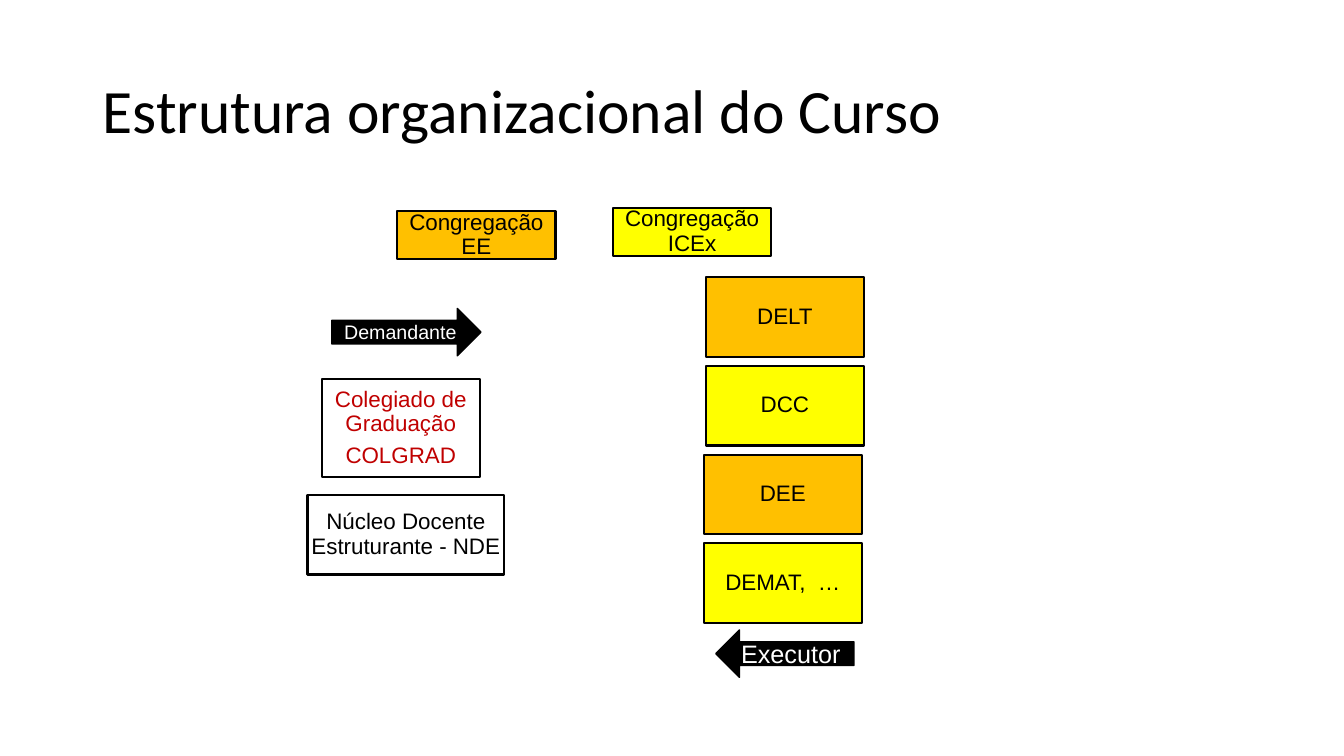
from dataclasses import dataclass

from pptx import Presentation
from pptx.dml.color import RGBColor
from pptx.enum.shapes import MSO_SHAPE
from pptx.enum.text import MSO_ANCHOR, PP_ALIGN
from pptx.util import Inches, Pt

RECT = MSO_SHAPE.RECTANGLE
RIGHT, LEFT = MSO_SHAPE.RIGHT_ARROW, MSO_SHAPE.LEFT_ARROW
MIDDLE = MSO_ANCHOR.MIDDLE
CENTER, START = PP_ALIGN.CENTER, PP_ALIGN.LEFT


@dataclass(frozen=True)
class Theme:
    black: str = "000000"
    white: str = "FFFFFF"
    red: str = "C00000"
    orange: str = "FFC000"
    yellow: str = "FFFF00"
    head: str = "Calibri"
    body: str = "Arial"
    title: int = 44
    label: int = 16
    edge: float = 1.5
    thin: float = 1
    inset: float = 0.01
    tight: float = 0.9
    after: float = 5.6


THEME = Theme()
TITLE = "Estrutura organizacional do Curso"
WIDE, SHORT, TALL = 1.57, 0.48, 0.79

# text, place (left, top, width, height), fill, text colour
BOXES = [
    ("Congregação EE", (3.94, 2.09, WIDE, SHORT), THEME.orange, THEME.black),
    ("Congregação ICEx", (6.08, 2.06, WIDE, SHORT), THEME.yellow, THEME.black),
    ("Colegiado de Graduação\nCOLGRAD", (3.19, 3.76, WIDE, 0.97),
     THEME.white, THEME.red),
    ("Núcleo Docente Estruturante - NDE", (3.05, 4.91, 1.95, TALL),
     THEME.white, THEME.black),
]

# name, left edge; one row each, fills alternate
UNITS = [("DELT", 7), ("DCC", 7), ("DEE", 6.98), ("DEMAT,  …", 6.98)]
UNIT_TOP, PITCH = 2.75, 0.88

# text, place, preset, type size
ARROWS = [
    ("Demandante", (3.29, 3.06, 1.48, 0.47), RIGHT, 14),
    ("Executor", (7.1, 6.25, 1.37, 0.47), LEFT, 18),
]


def style(par, font, size, color, align):
    par.alignment = align
    for run in par.runs:
        run.font.name = font
        run.font.size = Pt(size)
        run.font.color.rgb = RGBColor.from_string(color)


def add_block(slide, kind, text, place, fill, color, size, edge):
    block = slide.shapes.add_shape(kind, *map(Inches, place))
    block.shadow.inherit = False
    block.fill.solid()
    block.fill.fore_color.rgb = RGBColor.from_string(fill)
    block.line.color.rgb = RGBColor.from_string(THEME.black)
    block.line.width = Pt(edge)
    frame = block.text_frame
    frame.word_wrap = True
    frame.vertical_anchor = MIDDLE
    frame.text = text
    for par in frame.paragraphs:
        style(par, THEME.body, size, color, CENTER)
    return frame


def add_box(slide, text, place, fill, color):
    frame = add_block(slide, RECT, text, place, fill, color,
                      THEME.label, THEME.edge)
    frame.margin_left = frame.margin_right = Inches(THEME.inset)
    frame.margin_top = frame.margin_bottom = Inches(THEME.inset)
    for par in frame.paragraphs:
        par.line_spacing = THEME.tight
        par.space_after = Pt(THEME.after)


def add_title(slide):
    title = slide.shapes.title
    title.left, title.top = Inches(0.92), Inches(0.4)
    title.width, title.height = Inches(11.5), Inches(1.45)
    frame = title.text_frame
    frame.text = TITLE
    frame.vertical_anchor = MIDDLE
    par = frame.paragraphs[0]
    par.line_spacing = THEME.tight
    style(par, THEME.head, THEME.title, THEME.black, START)


def main():
    deck = Presentation()
    deck.slide_width, deck.slide_height = Inches(13.33), Inches(7.5)
    slide = deck.slides.add_slide(deck.slide_layouts[5])
    add_title(slide)
    for box in BOXES:
        add_box(slide, *box)
    for row, (name, left) in enumerate(UNITS):
        place = (left, UNIT_TOP + row * PITCH, WIDE, TALL)
        fill = THEME.yellow if row % 2 else THEME.orange
        add_box(slide, name, place, fill, THEME.black)
    for text, place, kind, size in ARROWS:
        add_block(slide, kind, text, place, THEME.black, THEME.white,
                  size, THEME.thin)
    deck.save("out.pptx")


if __name__ == "__main__":
    main()
